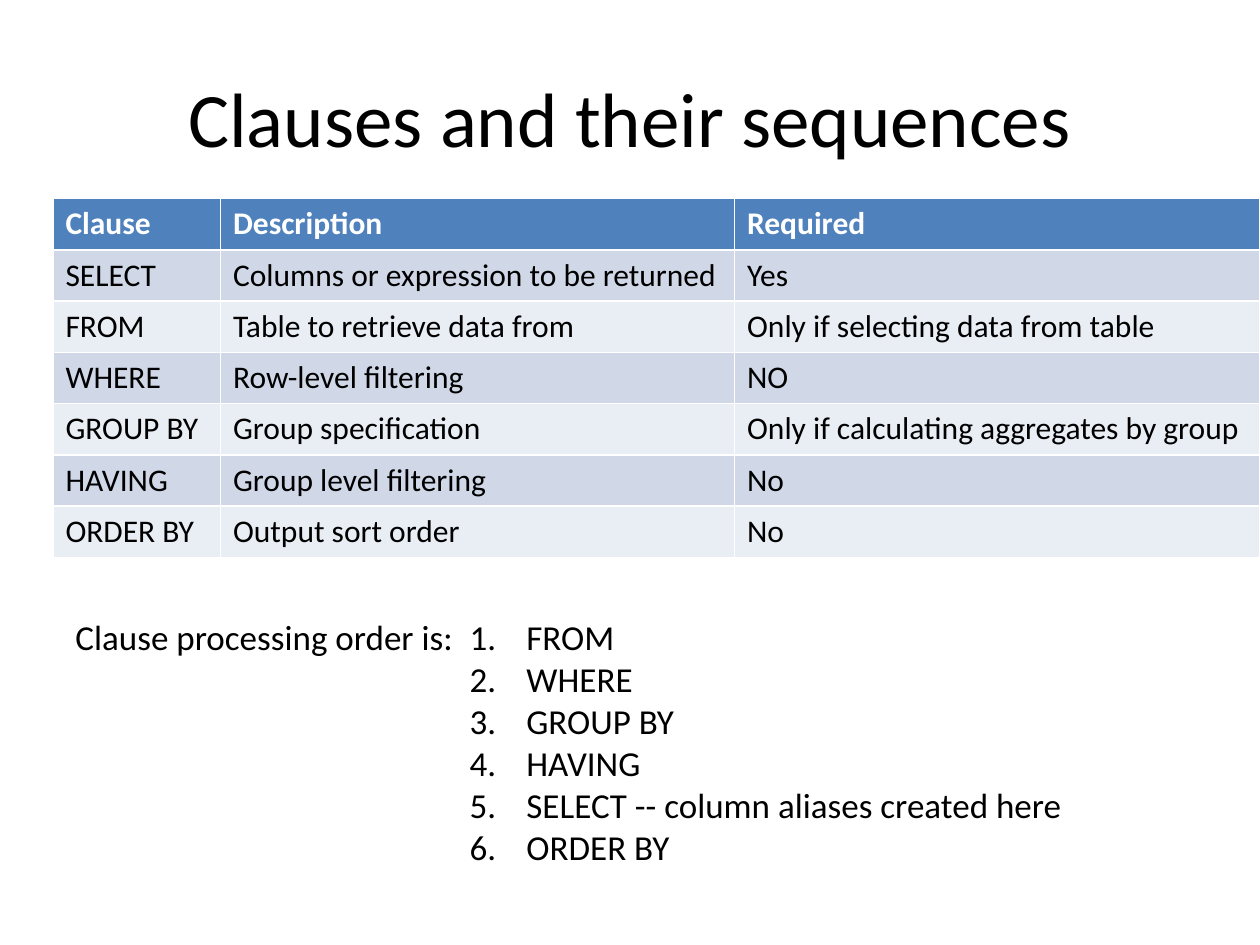
from lxml import etree
from pptx import Presentation, util as u
from pptx.dml import color
from pptx.enum import text
from pptx.oxml import ns


def rgb(value):
    return color.RGBColor.from_string(value)


class ClauseSlide:
    FONT = "Calibri"
    INK = "000000"
    PAPER = "FFFFFF"
    HEADER = "4F81BD"
    BANDS = ("D0D8E8", "E9EDF4")

    def __init__(self, deck):
        self.width, self.height = deck.slide_width, deck.slide_height
        self.slide = deck.slides.add_slide(deck.slide_layouts[5])
        background = self.slide.background.fill
        background.solid()
        background.fore_color.rgb = rgb(self.PAPER)

    def box(self, left, top, width, height):
        return (round(left * self.width), round(top * self.height),
                round(width * self.width), round(height * self.height))

    def style(self, paragraph, size, ink=INK, bold=False):
        font = paragraph.font
        font.name, font.size, font.bold = self.FONT, u.Pt(size), bold
        font.color.rgb = rgb(ink)

    def title(self, wording, area):
        heading = self.slide.shapes.title
        heading.left, heading.top, heading.width, heading.height = self.box(*area)
        frame = heading.text_frame
        frame.text = wording
        frame.vertical_anchor = text.MSO_ANCHOR.MIDDLE
        frame.paragraphs[0].alignment = text.PP_ALIGN.CENTER
        self.style(frame.paragraphs[0], 44)

    def table(self, rows, shares, area):
        grid = self.slide.shapes.add_table(len(rows), len(shares), *self.box(*area)).table
        for column, share in zip(grid.columns, shares):
            column.width = round(share * self.width)
        for r, row in enumerate(rows):
            header = r == 0
            for c, wording in enumerate(row):
                cell = grid.cell(r, c)
                cell.text = wording
                cell.fill.solid()
                cell.fill.fore_color.rgb = rgb(self.HEADER if header else self.BANDS[(r - 1) % 2])
                self.style(cell.text_frame.paragraphs[0], 18,
                           self.PAPER if header else self.INK, header)

    def text(self, lines, area, numbered=False):
        frame = self.slide.shapes.add_textbox(*self.box(*area)).text_frame
        frame.word_wrap = True
        frame.text = "\n".join(lines)
        for paragraph in frame.paragraphs:
            self.style(paragraph, 20)
            if numbered:
                self.number(paragraph)

    def number(self, paragraph):
        properties = paragraph._p.get_or_add_pPr()
        indent = u.Inches(0.45)
        properties.set("marL", str(indent))
        properties.set("indent", str(-indent))
        numbering = etree.Element(ns.qn("a:buAutoNum"), type="arabicPeriod")
        properties.insert_element_before(numbering, "a:tabLst", "a:defRPr", "a:extLst")


CLAUSES = [
    ("Clause", "Description", "Required"),
    ("SELECT", "Columns or expression to be returned", "Yes"),
    ("FROM", "Table to retrieve data from", "Only if selecting data from table"),
    ("WHERE", "Row-level filtering", "NO"),
    ("GROUP BY", "Group specification", "Only if calculating aggregates by group"),
    ("HAVING", "Group level filtering", "No"),
    ("ORDER BY", "Output sort order", "No"),
]
PROCESSING_ORDER = ["FROM", "WHERE", "GROUP BY", "HAVING",
                    "SELECT -- column aliases created here", "ORDER BY"]

deck = Presentation()
deck.slide_width, deck.slide_height = u.Inches(10), u.Inches(7.5)
page = ClauseSlide(deck)
page.title("Clauses and their sequences", (0.05, 0.04, 0.9, 1 / 6))
page.table(CLAUSES, (0.133, 0.408, 0.417), (0.042, 0.21, 0.958, 0.38))
page.text(["Clause processing order is:"], (0.05, 0.645, 0.325, 0.06))
page.text(PROCESSING_ORDER, (0.363, 0.645, 0.604, 0.32), numbered=True)
deck.save("out.pptx")
